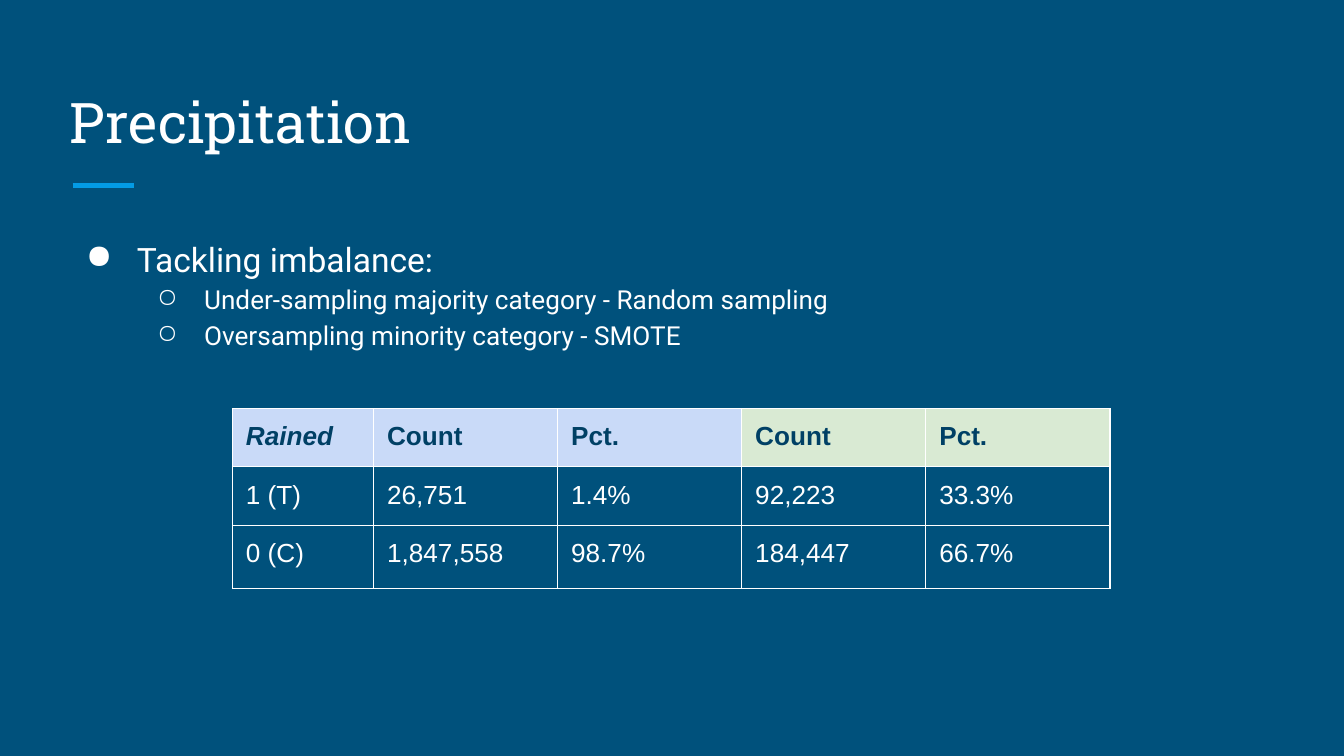
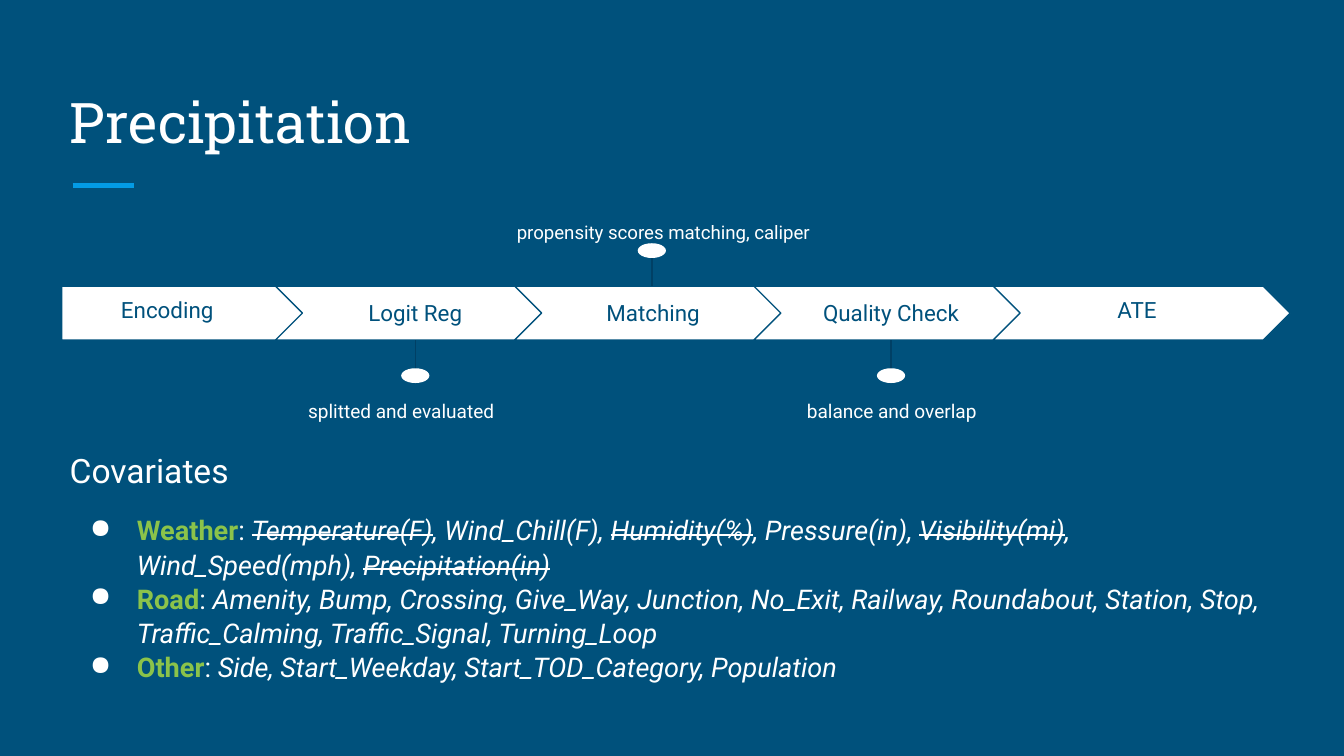
from lxml.etree import SubElement
from pptx import Presentation
from pptx.dml.color import RGBColor
from pptx.enum.shapes import MSO_CONNECTOR, MSO_SHAPE as SHAPE
from pptx.enum.text import MSO_ANCHOR as ANCHOR, MSO_AUTO_SIZE, PP_ALIGN as ALIGN
from pptx.oxml.ns import qn
from pptx.util import Inches, Pt


class Theme:
    back = RGBColor.from_string("00517C")
    white = RGBColor.from_string("FFFFFF")
    dark = RGBColor.from_string("004065")
    accent = RGBColor.from_string("039BE5")
    green = RGBColor.from_string("8BC34A")
    head_blue = RGBColor.from_string("C9DAF8")
    head_green = RGBColor.from_string("D9EAD3")
    title_font, body_font, table_font = "Roboto Slab", "Roboto", "Arial"
    title, heading, covariate, item, step = 30, 18, 14.55, 14, 12


def add_line(s, x1, y1, x2, y2, color, width):
    line = s.shapes.add_connector(
        MSO_CONNECTOR.STRAIGHT, Inches(x1), Inches(y1), Inches(x2), Inches(y2))
    line.line.color.rgb = color
    line.line.width = Pt(width)
    SubElement(line._element.spPr, qn("a:effectLst"))


def add_text(s, box, paragraphs, color=Theme.white, align=ALIGN.LEFT,
             anchor=ANCHOR.TOP, spacing=1.0):
    """Each paragraph is (size, bullet, space before, runs), a bullet is
    (sign, level, indent, hanging) and a run is (text, flags): b is a bold
    green label, i italic, s struck through."""
    tf = s.shapes.add_textbox(*map(Inches, box)).text_frame
    tf.word_wrap = True
    tf.vertical_anchor = anchor
    tf.margin_left = tf.margin_right = tf.margin_top = tf.margin_bottom = Inches(0.1)
    for n, (size, bullet, before, runs) in enumerate(paragraphs):
        p = tf.add_paragraph() if n else tf.paragraphs[0]
        p.alignment = align
        p.line_spacing = spacing
        p.space_before = Pt(before)
        if bullet:
            sign, p.level, indent, hanging = bullet
            pPr = p._p.get_or_add_pPr()
            pPr.set("marL", str(Inches(indent)))
            pPr.set("indent", str(-Inches(hanging)))
            SubElement(SubElement(pPr, qn("a:buClr")), qn("a:srgbClr"), val=str(Theme.white))
            SubElement(pPr, qn("a:buChar"), char=sign)
        for text, flags in runs:
            r = p.add_run()
            r.text = text
            r.font.name = Theme.body_font
            r.font.size = Pt(size)
            r.font.bold = "b" in flags
            r.font.italic = "i" in flags
            r.font.color.rgb = Theme.green if "b" in flags else color
            if "s" in flags:
                r._r.get_or_add_rPr().set("strike", "sngStrike")


prs = Presentation()
prs.slide_width = Inches(10)
prs.slide_height = prs.slide_width * 9 // 16
fill = prs.slide_master.background.fill
fill.solid()
fill.fore_color.rgb = Theme.back

# Shared title and accent rule
title_only = prs.slide_layouts[5]
balance_slide, pipeline_slide = [prs.slides.add_slide(title_only) for _ in range(2)]
for s in (balance_slide, pipeline_slide):
    add_line(s, 0.54, 1.38, 1, 1.38, Theme.accent, 3)
    title = s.shapes.title
    title.left, title.top, title.width, title.height = map(Inches, (0.42, 0.5, 9.15, 0.75))
    tf = title.text_frame
    tf.auto_size = MSO_AUTO_SIZE.NONE
    tf.vertical_anchor = ANCHOR.BOTTOM
    tf.margin_left = tf.margin_right = tf.margin_top = tf.margin_bottom = Inches(0.1)
    p = tf.paragraphs[0]
    p.alignment = ALIGN.LEFT
    r = p.add_run()
    r.text = "Precipitation"
    r.font.name = Theme.title_font
    r.font.size = Pt(Theme.title)
    r.font.color.rgb = Theme.white

# Slide 1: class imbalance
s = balance_slide
circle = ("○", 1, 1, 0.35)
add_text(s, (0.42, 1.63, 9.15, 3.37), [
    (Theme.heading, ("●", 0, 0.5, 0.38), 0, [("Tackling imbalance:", "")]),
    (Theme.item, circle, 0, [("Under-sampling majority category - Random sampling", "")]),
    (Theme.item, circle, 0, [("Oversampling minority category - SMOTE", "")]),
], spacing=1.15)

rows = [
    ("Rained", "Count", "Pct.", "Count", "Pct."),
    ("1 (T)", "26,751", "1.4%", "92,223", "33.3%"),
    ("0 (C)", "1,847,558", "98.7%", "184,447", "66.7%"),
]
col_widths = [1.05] + [1.37] * 4
row_heights = [0.42, 0.42, 0.47]
table = s.shapes.add_table(
    len(rows), len(col_widths), Inches(1.73), Inches(3.04),
    Inches(sum(col_widths)), Inches(sum(row_heights))).table
table.first_row = table.horz_banding = False
for col, width in zip(table.columns, col_widths):
    col.width = Inches(width)
for i, (values, height) in enumerate(zip(rows, row_heights)):
    table.rows[i].height = Inches(height)
    for j, value in enumerate(values):
        cell = table.cell(i, j)
        cell.margin_left = cell.margin_right = Inches(0.1)
        cell.margin_top = cell.margin_bottom = Inches(0.1)
        tcPr = cell._tc.get_or_add_tcPr()
        for side in ("lnL", "lnR", "lnT", "lnB"):
            ln = SubElement(tcPr, qn(f"a:{side}"), w=str(Pt(0.75)))
            SubElement(SubElement(ln, qn("a:solidFill")), qn("a:srgbClr"), val=str(Theme.white))
        header = i == 0
        if header:
            cell.fill.solid()
            cell.fill.fore_color.rgb = Theme.head_blue if j < 3 else Theme.head_green
        else:
            cell.fill.background()
        r = cell.text_frame.paragraphs[0].add_run()
        r.text = value
        r.font.name = Theme.table_font
        r.font.size = Pt(Theme.item)
        r.font.bold = header
        r.font.italic = header and j == 0
        r.font.color.rgb = Theme.dark if header else Theme.white

# Slide 2: covariates
s = pipeline_slide
disc = ("●", 0, 0.5, 0.35)
weather = [
    ("Weather", "b"), (": ", ""), ("Temperature(F)", "is"), (", Wind_Chill(F), ", "i"),
    ("Humidity(%)", "is"), (", Pressure(in), ", "i"), ("Visibility(mi)", "is"),
    (", Wind_Speed(mph), ", "i"), ("Precipitation(in)", "is"),
]
road = [
    ("Road", "b"), (": ", ""),
    ("Amenity, Bump, Crossing, Give_Way, Junction, No_Exit, Railway, Roundabout, "
     "Station, Stop, Traffic_Calming, Traffic_Signal, Turning_Loop", "i"),
]
other = [
    ("Other", "b"), (": ", ""),
    ("Side, Start_Weekday, Start_TOD_Category, Population", "i"),
]
add_text(s, (0.42, 3.23, 9.15, 2.07), [
    (Theme.heading, None, 0, [("Covariates", "")]),
    (Theme.covariate, disc, 12, weather),
    (Theme.covariate, disc, 0, road),
    (Theme.covariate, disc, 0, other),
], spacing=1.05)

# Pipeline steps: name, label left, label width, line spacing
steps = [
    ("Encoding", 0.46, 1.57, 0.8),
    ("Logit Reg", 2.38, 1.42, 1.0),
    ("Matching", 4.15, 1.42, 1.0),
    ("Quality Check", 5.92, 1.42, 1.0),
    ("ATE", 7.75, 1.42, 0.8),
]
band_top, band_height = 2.13, 0.4
for i, (name, label_left, label_width, spacing) in enumerate(steps):
    if i == 0:
        kind, left, width = SHAPE.PENTAGON, 0.46, 2.02
    else:
        kind, left, width = SHAPE.CHEVRON, 2.05 + 1.78 * (i - 1), 2.21
    sp = s.shapes.add_shape(
        kind, Inches(left), Inches(band_top), Inches(width), Inches(band_height))
    sp.shadow.inherit = False
    sp.fill.solid()
    sp.fill.fore_color.rgb = Theme.white
    sp.line.color.rgb = Theme.back
    sp.line.width = Pt(0.75)
    add_text(s, (label_left, 2.2, label_width, 0.25), [(Theme.step, None, 0, [(name, "")])],
             Theme.back, ALIGN.CENTER, ANCHOR.MIDDLE, spacing)

# Callouts: text, size, stem x, stem start and end, dot top, text left and top
callouts = [
    ("splitted and evaluated", 10.2, 3.09, 2.83, 2.53, 2.74, 1.58, 2.85),
    ("propensity scores matching, caliper", 10, 4.85, 1.83, 2.13, 1.81, 3.53, 1.52),
    ("balance and overlap", 10.2, 6.63, 2.83, 2.53, 2.74, 5.23, 2.85),
]
dot_width, dot_height = 0.21, 0.11
for text, size, x, start, end, dot_top, text_left, text_top in callouts:
    add_line(s, x, start, x, end, Theme.dark, 0.75)
    dot = s.shapes.add_shape(
        SHAPE.OVAL, Inches(x - dot_width / 2), Inches(dot_top),
        Inches(dot_width), Inches(dot_height))
    dot.shadow.inherit = False
    dot.fill.solid()
    dot.fill.fore_color.rgb = Theme.white
    dot.line.fill.background()
    add_text(s, (text_left, text_top, 2.81, 0.3), [(size, None, 0, [(text, "")])],
             align=ALIGN.CENTER, spacing=1.15)

prs.save("out.pptx")
